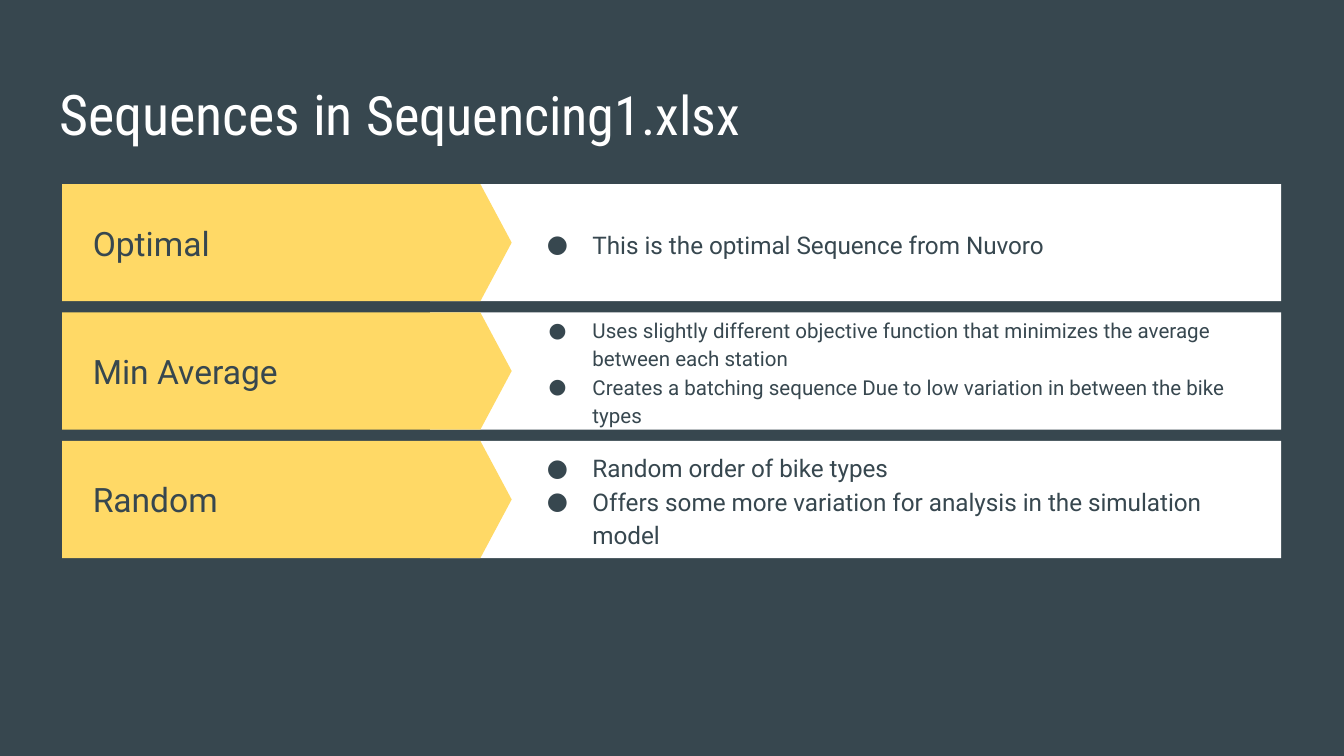
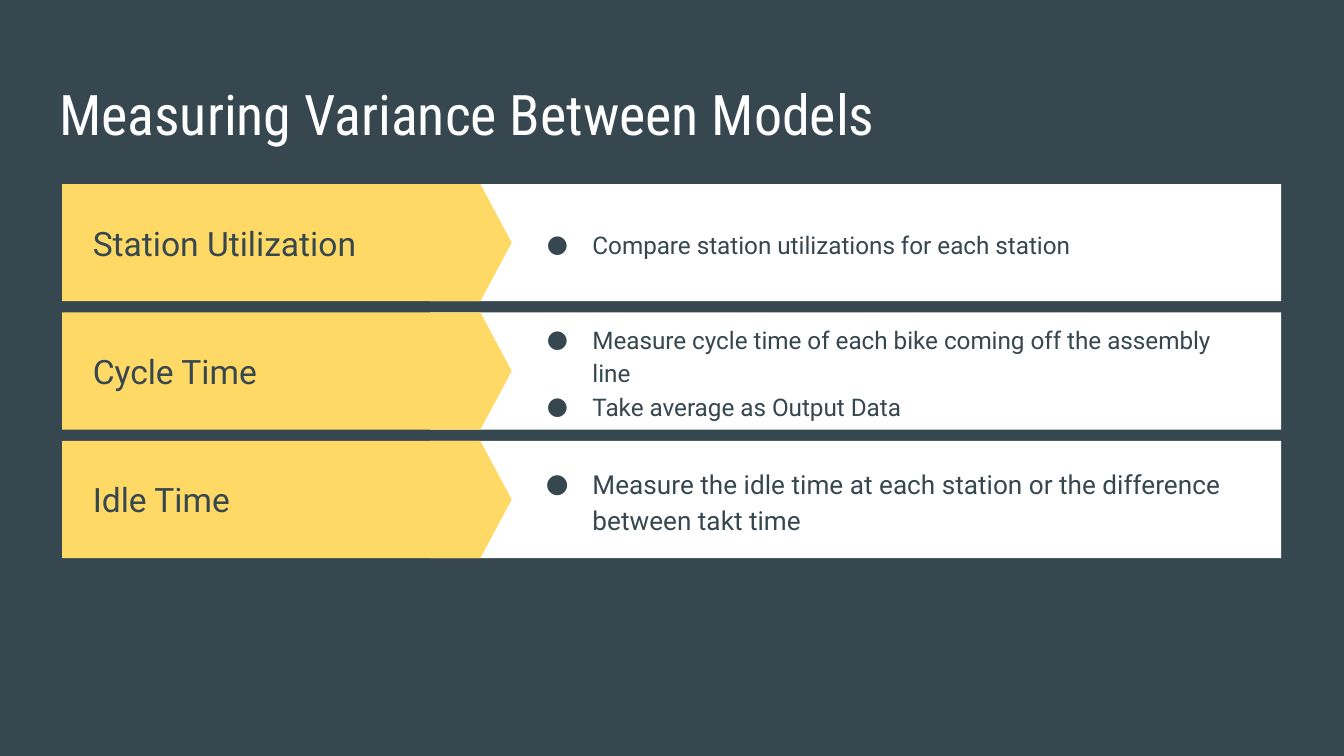
"""Builds two slides that explain sequences and measures in rows of labelled bands."""
import copy

import pptx
import pptx.dml.color
import pptx.enum.shapes
import pptx.enum.text
import pptx.oxml
import pptx.oxml.ns
import pptx.util

SLIDES = [
    {
        "title": [("Sequences in ", 30), ("Sequencing1.xlsx", 29)],
        "rows": [
            ("Optimal", 13, ["This is the optimal Sequence from Nuvoro"]),
            ("Min Average", 11, [
                "Uses slightly different objective function that minimizes the average between each station",
                "Creates a batching sequence Due to low variation in between the bike types",
            ]),
            ("Random", 13, [
                "Random order of bike types",
                "Offers some more variation for analysis in the simulation model",
            ]),
        ],
    },
    {
        "title": [("Measuring Variance Between Models", 30)],
        "rows": [
            ("Station Utilization", 13, ["Compare station utilizations for each station"]),
            ("Cycle Time", 13, [
                "Measure cycle time of each bike coming off the assembly line",
                "Take average as Output Data",
            ]),
            ("Idle Time", 14, [
                "Measure the idle time at each station or the difference between takt time",
            ]),
        ],
    },
]

SLATE, WHITE, YELLOW = "37474F", "FFFFFF", "FFD966"
TITLE_FONT, BODY_FONT = "Roboto Condensed", "Roboto"
LABEL_SIZE = 18
INSET = 7.2
TITLE_BOX = (24.5, 35.3, 671, 45)
FIRST_ROW_TOP, ROW_HEIGHT, ROW_PITCH = 98.6, 62.8, 68.8
PANEL_LEFT, PANEL_WIDTH = 230.4, 456
ARROW_LEFT, ARROW_WIDTH = 33.3, 240.8
LABEL_LEFT, LABEL_WIDTH = 42.5, 190.8
DETAILS_LEFT, DETAILS_WIDTH = 274.2, 402.5

Pt = pptx.util.Pt
ANCHOR = pptx.enum.text.MSO_ANCHOR
PRESET = pptx.enum.shapes.MSO_SHAPE


def paint(fill, colour):
    fill.solid()
    fill.fore_color.rgb = pptx.dml.color.RGBColor.from_string(colour)


def style_run(run, font, size, colour):
    run.font.name = font
    run.font.size = Pt(size)
    paint(run.font.fill, colour)


def set_frame(placeholder, box, anchor):
    placeholder.left, placeholder.top, placeholder.width, placeholder.height = map(Pt, box)
    frame = placeholder.text_frame
    frame.auto_size = pptx.enum.text.MSO_AUTO_SIZE.NONE
    frame.word_wrap = True
    frame.vertical_anchor = anchor
    frame.margin_left = frame.margin_right = Pt(INSET)
    frame.margin_top = frame.margin_bottom = Pt(INSET)
    return frame


def set_bullet(paragraph, size, bulleted):
    properties = paragraph._p.get_or_add_pPr()
    properties.set("marL", str(Pt(36 if bulleted else 0)))
    properties.set("indent", str(-Pt(18 + size / 2) if bulleted else 0))
    namespace = pptx.oxml.ns.nsdecls("a")
    if bulleted:
        parts = [
            f'<a:buClr {namespace}><a:srgbClr val="{SLATE}"/></a:buClr>',
            f'<a:buFont {namespace} typeface="{BODY_FONT}"/>',
            f'<a:buChar {namespace} char="●"/>',
        ]
    else:
        parts = [f"<a:buNone {namespace}/>"]
    for part in parts:
        properties.append(pptx.oxml.parse_xml(part))


def add_title(slide, pieces):
    frame = set_frame(slide.shapes.title, TITLE_BOX, ANCHOR.TOP)
    heading = frame.paragraphs[0]
    heading.alignment = pptx.enum.text.PP_ALIGN.LEFT
    for words, size in pieces:
        run = heading.add_run()
        run.text = words
        style_run(run, TITLE_FONT, size, WHITE)


def add_band(group, preset, box, colour):
    band = group.shapes.add_shape(preset, *map(Pt, box))
    band.shadow.inherit = False
    paint(band.fill, colour)
    band.line.fill.background()
    return band


def add_body(slide, blank_body, box, lines, size, bulleted):
    element = copy.deepcopy(blank_body)
    next_id = max(shape.shape_id for shape in slide.shapes) + 10
    element.nvSpPr.cNvPr.set("id", str(next_id))
    slide.shapes.element.append(element)
    frame = set_frame(list(slide.shapes)[-1], box, ANCHOR.MIDDLE)
    frame.text = "\n".join(lines)
    for paragraph in frame.paragraphs:
        paragraph.alignment = pptx.enum.text.PP_ALIGN.LEFT
        paragraph.line_spacing = 1.15 if bulleted else 1.0
        paragraph.space_before = Pt(0)
        set_bullet(paragraph, size, bulleted)
        style_run(paragraph.runs[0], BODY_FONT, size, SLATE)


def add_row(slide, blank_body, top, label, size, details):
    group = slide.shapes.add_group_shape()
    add_band(group, PRESET.RECTANGLE, (PANEL_LEFT, top, PANEL_WIDTH, ROW_HEIGHT), WHITE)
    arrow = add_band(group, PRESET.PENTAGON, (ARROW_LEFT, top, ARROW_WIDTH, ROW_HEIGHT), YELLOW)
    arrow.adjustments[0] = 0.267
    add_body(slide, blank_body, (LABEL_LEFT, top, LABEL_WIDTH, ROW_HEIGHT),
             [label], LABEL_SIZE, False)
    add_body(slide, blank_body, (DETAILS_LEFT, top, DETAILS_WIDTH, ROW_HEIGHT),
             details, size, True)


def main():
    deck = pptx.Presentation()
    deck.slide_width, deck.slide_height = Pt(720), Pt(405)
    paint(deck.slide_master.background.fill, SLATE)
    for content in SLIDES:
        slide = deck.slides.add_slide(deck.slide_layouts[1])
        add_title(slide, content["title"])
        blank_body = slide.placeholders[1].element
        slide.shapes.element.remove(blank_body)
        for index, row in enumerate(content["rows"]):
            add_row(slide, blank_body, FIRST_ROW_TOP + index * ROW_PITCH, *row)
    deck.save("out.pptx")


if __name__ == "__main__":
    main()
